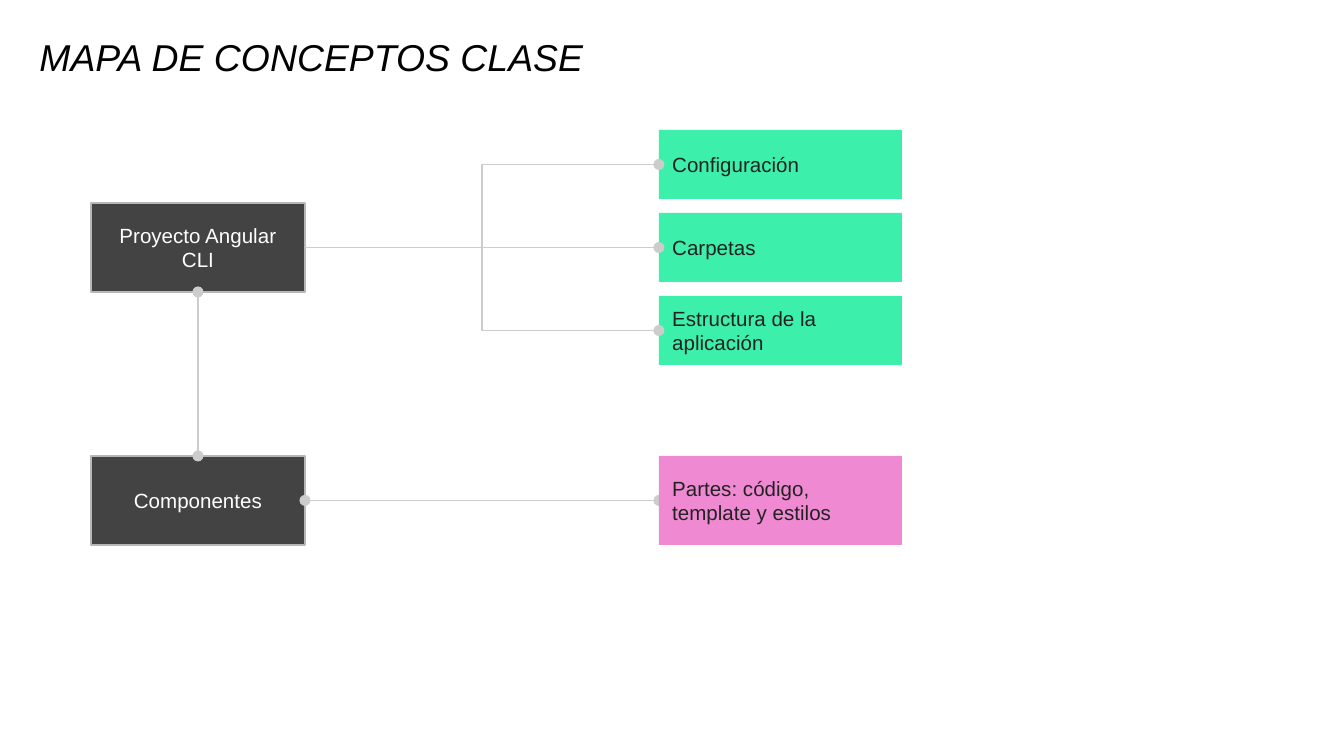
from dataclasses import dataclass

from lxml.etree import SubElement
from pptx import Presentation
from pptx.dml.color import RGBColor
from pptx.enum.shapes import MSO_CONNECTOR, MSO_SHAPE
from pptx.enum.text import MSO_ANCHOR, MSO_AUTO_SIZE, PP_ALIGN
from pptx.oxml.ns import qn
from pptx.util import Inches, Pt


@dataclass(frozen=True)
class Theme:
    font: str = "Arial"
    title_size: int = 20
    box_size: int = 11
    line_width: float = 0.75
    title: str = "000000"
    dark: str = "434343"
    border: str = "B7B7B7"
    green: str = "3CEFAB"
    pink: str = "EF89D2"
    light_text: str = "FFFFFF"
    dark_text: str = "222222"
    link: str = "CCCCCC"


THEME = Theme()

# Content
TITLE = "MAPA DE CONCEPTOS CLASE"
PROJECT = "Proyecto Angular CLI"
PROJECT_TOPICS = ["Configuración", "Carpetas", "Estructura de la aplicación"]
COMPONENTS = "Componentes"
COMPONENT_PARTS = "Partes: código, template y estilos"

# Layout in px
PX_PER_INCH = 134.4
SLIDE_W, SLIDE_H = 1344, 756
TITLE_BOX = (26, 30, 1110, 62)
MAIN_X, MAIN_W, MAIN_H = 91, 214, 89
TOPIC_X, TOPIC_W, TOPIC_H = 659, 243, 69
TOPIC_Y, TOPIC_STEP = 130, 83
COMPONENTS_Y = 456
INSET = Inches(0.1)

# Connection sites of a rectangle
TOP, LEFT, BOTTOM, RIGHT = range(4)


def px(n):
    return Inches(n / PX_PER_INCH)


def rgb(code):
    return RGBColor.from_string(code)


def write(s, text, size, color, anchor, align=PP_ALIGN.LEFT, italic=False):
    tf = s.text_frame
    tf.word_wrap = True
    tf.auto_size = MSO_AUTO_SIZE.NONE
    tf.vertical_anchor = anchor
    tf.margin_left = tf.margin_right = tf.margin_top = tf.margin_bottom = INSET
    p = tf.paragraphs[0]
    p.alignment = align
    r = p.add_run()
    r.text = text
    r.font.name = THEME.font
    r.font.size = Pt(size)
    r.font.italic = italic
    r.font.color.rgb = rgb(color)


def add_box(shapes, text, box, fill, color, align=PP_ALIGN.LEFT, border=None):
    s = shapes.add_shape(MSO_SHAPE.RECTANGLE, *map(px, box))
    s.shadow.inherit = False
    s.fill.solid()
    s.fill.fore_color.rgb = rgb(fill)
    if border:
        s.line.color.rgb = rgb(border)
        s.line.width = Pt(THEME.line_width)
    else:
        s.line.fill.background()
    write(s, text, THEME.box_size, color, MSO_ANCHOR.MIDDLE, align)
    return s


def add_main(shapes, text, y):
    return add_box(shapes, text, (MAIN_X, y, MAIN_W, MAIN_H), THEME.dark,
                   THEME.light_text, PP_ALIGN.CENTER, THEME.border)


def add_topic(shapes, text, y, h, fill):
    return add_box(shapes, text, (TOPIC_X, y, TOPIC_W, h), fill, THEME.dark_text)


def link(shapes, kind, start, start_site, end, end_site, dots):
    c = shapes.add_connector(kind, 0, 0, 0, 0)
    c.begin_connect(start, start_site)
    c.end_connect(end, end_site)
    c.line.color.rgb = rgb(THEME.link)
    c.line.width = Pt(THEME.line_width)
    ln = c.line._get_or_add_ln()
    for dot in dots:
        SubElement(ln, qn(f"a:{dot}"), type="oval")
    SubElement(c._element.spPr, qn("a:effectLst"))


def main():
    prs = Presentation()
    prs.slide_width, prs.slide_height = px(SLIDE_W), px(SLIDE_H)
    slide = prs.slides.add_slide(prs.slide_layouts[5])
    shapes = slide.shapes

    # Title
    title = shapes.title
    title.left, title.top, title.width, title.height = map(px, TITLE_BOX)
    write(title, TITLE, THEME.title_size, THEME.title, MSO_ANCHOR.BOTTOM, italic=True)

    # Boxes: the project is centred on its column of topics
    tops = [TOPIC_Y + i * TOPIC_STEP for i in range(len(PROJECT_TOPICS))]
    project_y = (tops[0] + tops[-1] + TOPIC_H - MAIN_H) // 2
    project = add_main(shapes, PROJECT, project_y)
    components = add_main(shapes, COMPONENTS, COMPONENTS_Y)
    topics = [add_topic(shapes, text, y, TOPIC_H, THEME.green)
              for text, y in zip(PROJECT_TOPICS, tops)]
    parts = add_topic(shapes, COMPONENT_PARTS, COMPONENTS_Y, MAIN_H, THEME.pink)

    # Links
    both = ("headEnd", "tailEnd")
    link(shapes, MSO_CONNECTOR.STRAIGHT, components, TOP, project, BOTTOM, both)
    for topic in topics:
        link(shapes, MSO_CONNECTOR.ELBOW, project, RIGHT, topic, LEFT, ("tailEnd",))
    link(shapes, MSO_CONNECTOR.STRAIGHT, parts, LEFT, components, RIGHT, both)

    # The parts box covers the end of its link
    shapes._spTree.append(parts._element)

    prs.save("out.pptx")


if __name__ == "__main__":
    main()
